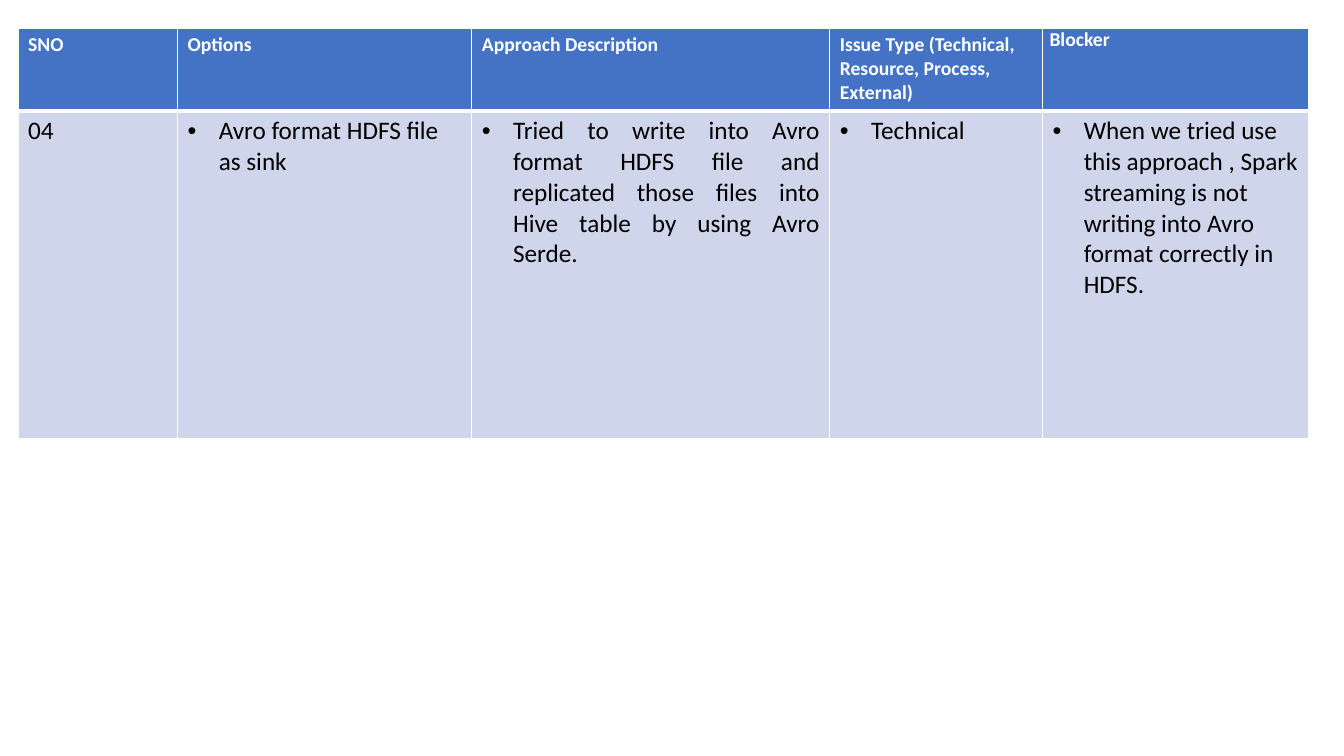
from dataclasses import dataclass

from lxml.etree import SubElement
from pptx import Presentation
from pptx.dml.color import RGBColor
from pptx.enum.text import PP_ALIGN as Align
from pptx.oxml.ns import qn
from pptx.util import Inches, Pt


@dataclass(frozen=True)
class Theme:
    font: str = "Calibri"
    header_fill: str = "4472C4"
    body_fill: str = "CFD5EA"
    header_text: str = "FFFFFF"
    body_text: str = "000000"
    border: str = "FFFFFF"
    header_size: int = 14
    body_size: int = 18
    thin: int = 1
    thick: int = 3


THEME = Theme()
COLUMN_WIDTHS = (1.58, 2.92, 3.55, 2.11, 2.64)
ROW_HEIGHTS = (0.82, 3.25)
BULLET_INDENT = 0.31
HEADERS = (
    "SNO",
    "Options",
    "Approach Description",
    "Issue Type (Technical, Resource, Process, External)",
    "Blocker",
)
DETAILS = (
    "04",
    "Avro format HDFS file as sink",
    "Tried to write into Avro format HDFS file and replicated those files into "
    "Hive table by using Avro Serde. ",
    "Technical",
    "When we tried use this approach , Spark streaming is not writing into Avro "
    "format correctly in HDFS.",
)


def add_bullet(para):
    properties = para._p.get_or_add_pPr()
    properties.set("marL", str(Inches(BULLET_INDENT)))
    properties.set("indent", str(-Inches(BULLET_INDENT)))
    SubElement(properties, qn("a:buFont"), typeface="Arial")
    SubElement(properties, qn("a:buChar"), char="•")


def write_text(cell, text, size, color, bold=False, bullet=False,
               align=Align.LEFT, space_before=0):
    para = cell.text_frame.paragraphs[0]
    para.alignment = align
    para.space_before = Pt(space_before)
    if bullet:
        add_bullet(para)
    span = para.add_run()
    span.text = text
    span.font.name = THEME.font
    span.font.size = Pt(size)
    span.font.bold = bold
    span.font.color.rgb = RGBColor.from_string(color)


def style_cell(cell, fill, top, bottom):
    properties = cell._tc.get_or_add_tcPr()
    widths = {"L": THEME.thin, "R": THEME.thin, "T": top, "B": bottom}
    for side, width in widths.items():
        line = SubElement(properties, qn(f"a:ln{side}"), w=str(Pt(width)))
        solid = SubElement(line, qn("a:solidFill"))
        SubElement(solid, qn("a:srgbClr"), val=THEME.border)
    cell.fill.solid()
    cell.fill.fore_color.rgb = RGBColor.from_string(fill)


def add_grid(page):
    frame = page.shapes.add_table(
        len(ROW_HEIGHTS), len(COLUMN_WIDTHS), Inches(0.18), Inches(0.28),
        Inches(sum(COLUMN_WIDTHS)), Inches(sum(ROW_HEIGHTS)))
    table = frame.table
    for column, width in zip(table.columns, COLUMN_WIDTHS):
        column.width = Inches(width)
    for row, height in zip(table.rows, ROW_HEIGHTS):
        row.height = Inches(height)
    return table


def fill_header(table):
    last = len(HEADERS) - 1
    for index, text in enumerate(HEADERS):
        cell = table.cell(0, index)
        style_cell(cell, THEME.header_fill, THEME.thin, THEME.thick)
        write_text(cell, text, THEME.header_size, THEME.header_text, bold=True,
                   space_before=3 if index == last else 0)
    blocker = table.cell(0, last)
    blocker.margin_left = blocker.margin_right = Inches(0.07)
    blocker.margin_top = blocker.margin_bottom = 0


def fill_details(table):
    for index, text in enumerate(DETAILS):
        cell = table.cell(1, index)
        style_cell(cell, THEME.body_fill, THEME.thick, THEME.thin)
        justified = HEADERS[index] == "Approach Description"
        write_text(cell, text, THEME.body_size, THEME.body_text,
                   bullet=index > 0,
                   align=Align.JUSTIFY if justified else Align.LEFT)


def main():
    deck = Presentation()
    deck.slide_width = Inches(13.33)
    deck.slide_height = Inches(7.5)
    page = deck.slides.add_slide(deck.slide_layouts[6])
    table = add_grid(page)
    fill_header(table)
    fill_details(table)
    deck.save("out.pptx")


if __name__ == "__main__":
    main()
